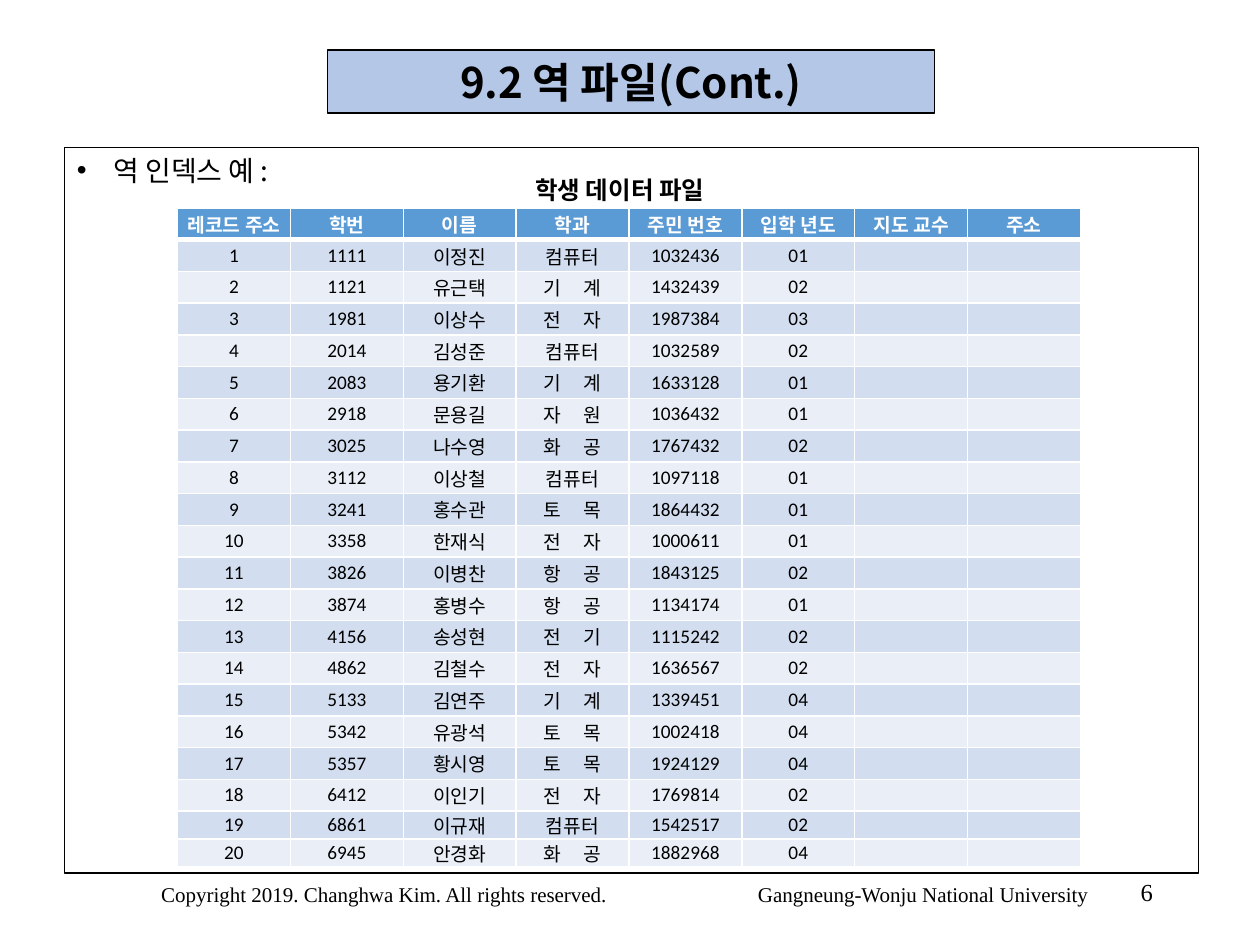
from lxml import etree
from pptx import Presentation
from pptx.dml.color import RGBColor
from pptx.enum import shapes, text
from pptx.oxml import ns
from pptx.util import Cm, Pt

KOR, LAT, ROM = "Noto Sans CJK KR", "Calibri", "Times New Roman"
MID, LEFT, RIGHT = text.PP_ALIGN.CENTER, text.PP_ALIGN.LEFT, text.PP_ALIGN.RIGHT

TITLE = "9.2 역 파일(Cont.)"
TOPIC = "역 인덱스 예 :"
NAME = "학생 데이터 파일"
FOOT = "Copyright 2019. Changhwa Kim. All rights reserved.\tGangneung-Wonju National University"
PAGE = "6"
HEAD = ["레코드 주소", "학번", "이름", "학과", "주민 번호", "입학 년도", "지도 교수", "주소"]
ROWS = [
    ("1111", "이정진", "컴퓨터", "1032436", "01"),
    ("1121", "유근택", "기 계", "1432439", "02"),
    ("1981", "이상수", "전 자", "1987384", "03"),
    ("2014", "김성준", "컴퓨터", "1032589", "02"),
    ("2083", "용기환", "기 계", "1633128", "01"),
    ("2918", "문용길", "자 원", "1036432", "01"),
    ("3025", "나수영", "화 공", "1767432", "02"),
    ("3112", "이상철", "컴퓨터", "1097118", "01"),
    ("3241", "홍수관", "토 목", "1864432", "01"),
    ("3358", "한재식", "전 자", "1000611", "01"),
    ("3826", "이병찬", "항 공", "1843125", "02"),
    ("3874", "홍병수", "항 공", "1134174", "01"),
    ("4156", "송성현", "전 기", "1115242", "02"),
    ("4862", "김철수", "전 자", "1636567", "02"),
    ("5133", "김연주", "기 계", "1339451", "04"),
    ("5342", "유광석", "토 목", "1002418", "04"),
    ("5357", "황시영", "토 목", "1924129", "04"),
    ("6412", "이인기", "전 자", "1769814", "02"),
    ("6861", "이규재", "컴퓨터", "1542517", "02"),
    ("6945", "안경화", "화 공", "1882968", "04"),
]
DEPT = 3        # column whose two-letter names are spread apart
BLUE, BANDS = "5B9BD5", ("EAEFF7", "D2DEEF")
TALL, SHORT = 0.64, 0.56


def rgb(code):
    return RGBColor.from_string(code)


def sub(node, tag, **attrs):
    return etree.SubElement(node, ns.qn(tag), attrs)


def write(frame, words, size, font=KOR, color="000000", bold=False, align=LEFT,
          anchor=text.MSO_ANCHOR.TOP, wrap=True, bullet=None, tab=None, spread=None):
    """Fill the frame; spread is the extra width of its spaces in points."""
    frame.word_wrap = wrap
    frame.vertical_anchor = anchor
    para = frame.paragraphs[0]
    para.alignment = align
    props = para._p.get_or_add_pPr()
    if bullet:
        props.set("marL", str(Cm(0.74)))
        props.set("indent", str(-Cm(0.74)))
        sub(props, "a:buFont", typeface="Arial")
        sub(props, "a:buChar", char=bullet)
    if tab:
        sub(sub(props, "a:tabLst"), "a:tab", pos=str(Cm(tab)), algn="l")
    if not words:
        sub(para._p, "a:endParaRPr", sz=str(size * 100))
    parts = words.partition(" ") if spread else [words]
    for part in filter(None, parts):
        run = para.add_run()
        run.text = part
        run.font.size, run.font.name, run.font.bold = Pt(size), font, bold
        run.font.color.rgb = rgb(color)
        sub(run._r.rPr, "a:ea", typeface=KOR)
        if part == " ":
            run._r.rPr.set("spc", str(spread * 100))


def panel(slide, box, fill=None):
    shape = slide.shapes.add_shape(shapes.MSO_SHAPE.RECTANGLE, *map(Cm, box))
    shape.shadow.inherit = False
    if fill:
        shape.fill.solid()
        shape.fill.fore_color.rgb = rgb(fill)
    else:
        shape.fill.background()
    shape.line.color.rgb = rgb("000000")
    shape.line.width = Pt(0.75)
    return shape.text_frame


def label(slide, box):
    return slide.shapes.add_textbox(*map(Cm, box)).text_frame


def edge(cell, top, base):
    """Draw white borders, with the top and bottom widths in points."""
    props = cell._tc.get_or_add_tcPr()
    for side, width in (("L", 1), ("R", 1), ("T", top), ("B", base)):
        line = sub(props, "a:ln" + side, w=str(Pt(width)))
        sub(sub(line, "a:solidFill"), "a:srgbClr", val="FFFFFF")


def grid(slide):
    data = [HEAD] + [(str(n), *row, "", "") for n, row in enumerate(ROWS, 1)]
    highs = [TALL] * (len(data) - 2) + [SHORT] * 2
    box = (3.58, 4.19, 18.2, sum(highs))
    table = slide.shapes.add_table(len(data), len(HEAD), *map(Cm, box)).table
    table.first_row = table.horz_banding = False
    for col in table.columns:
        col.width = Cm(box[2] / len(HEAD))
    for r, row in enumerate(data):
        table.rows[r].height = Cm(highs[r])
        for c, words in enumerate(row):
            cell = table.cell(r, c)
            cell.margin_left = cell.margin_right = 0
            cell.margin_top = cell.margin_bottom = 0
            edge(cell, 3 if r == 1 else 1, 3 if r == 0 else 1)
            cell.fill.solid()
            cell.fill.fore_color.rgb = rgb(BANDS[r % 2] if r else BLUE)
            write(cell.text_frame, words, 11, font=LAT, bold=r == 0, align=MID,
                  color="000000" if r else "FFFFFF",
                  spread=10 if r and c == DEPT else None)
            cell.vertical_anchor = text.MSO_ANCHOR.MIDDLE


def main():
    deck = Presentation()
    deck.slide_width, deck.slide_height = Cm(25.4), Cm(19.05)
    slide = deck.slides.add_slide(deck.slide_layouts[6])
    mid = text.MSO_ANCHOR.MIDDLE
    write(label(slide, (18.21, 17.35, 5.28, 1.27)), PAGE, 14, font=ROM,
          align=RIGHT, anchor=mid)
    write(panel(slide, (6.6, 1.01, 12.24, 1.27), "B4C7E7"), TITLE, 24, bold=True,
          align=MID, anchor=mid, wrap=False)
    write(panel(slide, (1.3, 2.97, 22.86, 14.63)), TOPIC, 16, bullet="•")
    grid(slide)
    write(label(slide, (10.54, 3.4, 4.34, 0.86)), NAME, 14, bold=True, wrap=False)
    write(label(slide, (3, 17.65, 19.58, 1.02)), FOOT, 12, font=ROM, tab=12.03)
    deck.save("out.pptx")


if __name__ == "__main__":
    main()
